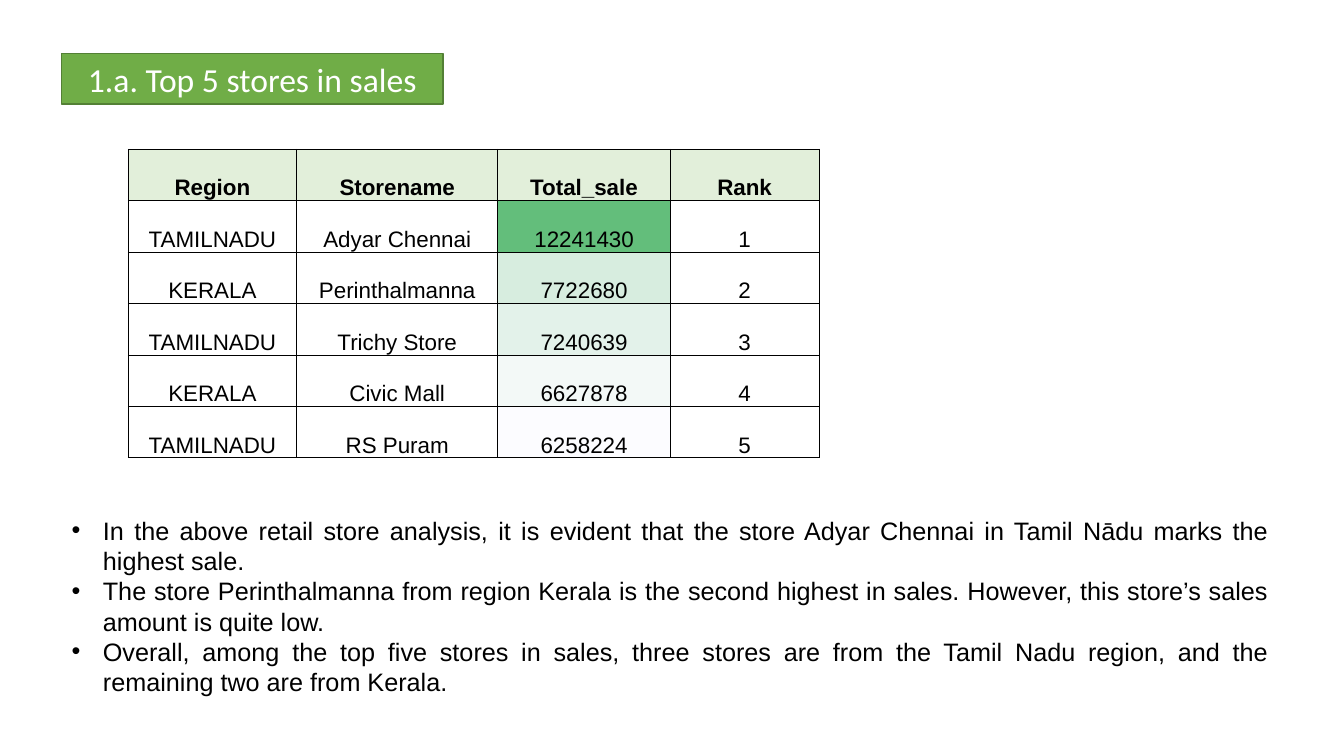
import collections

import lxml.etree
import pptx
import pptx.dml.color
import pptx.enum.text
import pptx.oxml.ns
import pptx.util

COLORS = {
    "black": "000000", "white": "FFFFFF", "badge": "70AD47",
    "badge_edge": "538035", "header": "E2EFDA",
}
SALE_SHADES = ["63BE7B", "D7EDDF", "E3F2EA", "F3F9F7", "FCFCFF"]
HEADERS = ["Region", "Storename", "Total_sale", "Rank"]
STORES = [
    ("TAMILNADU", "Adyar Chennai", 12241430),
    ("KERALA", "Perinthalmanna", 7722680),
    ("TAMILNADU", "Trichy Store", 7240639),
    ("KERALA", "Civic Mall", 6627878),
    ("TAMILNADU", "RS Puram", 6258224),
]
COLUMN_WEIGHTS = [1.67, 1.99, 1.71, 1.47]
FINDINGS = [
    "In the above retail store analysis, it is evident that the store Adyar "
    "Chennai in Tamil Nādu marks the highest sale.",
    "The store Perinthalmanna from region Kerala is the second highest in "
    "sales. However, this store’s sales amount is quite low.",
    "Overall, among the top five stores in sales, three stores are from the "
    "Tamil Nadu region, and the remaining two are from Kerala.",
]
ALIGN = pptx.enum.text.PP_ALIGN
ANCHOR = pptx.enum.text.MSO_ANCHOR
Box = collections.namedtuple("Box", "left top width height")


def rgb(value):
    """Turn a hex string into a colour."""
    return pptx.dml.color.RGBColor.from_string(value)


def apply(target, formats):
    """Set each attribute named in a dict of format values."""
    for name, value in formats.items():
        setattr(target, name, value)


def share_box(deck, left, top, width, height):
    """Make a box from percentages of the slide's size."""
    across, down = deck.slide_width / 100, deck.slide_height / 100
    return Box(int(left * across), int(top * down),
               int(width * across), int(height * down))


def write(para, text, size, font="Arial", color="black", bold=False, **layout):
    """Put one formatted run of text into a paragraph."""
    apply(para, layout)
    span = para.add_run()
    span.text = text
    apply(span.font, {"name": font, "size": pptx.util.Pt(size), "bold": bold})
    span.font.color.rgb = rgb(COLORS[color])


def outline_cell(cell, color, points):
    """Draw a solid border on all four sides of a table cell."""
    properties = cell._tc.get_or_add_tcPr()
    qn = pptx.oxml.ns.qn
    for side in ("a:lnL", "a:lnR", "a:lnT", "a:lnB"):
        line = lxml.etree.SubElement(
            properties, qn(side), w=str(pptx.util.Pt(points)))
        fill = lxml.etree.SubElement(line, qn("a:solidFill"))
        lxml.etree.SubElement(fill, qn("a:srgbClr"), val=color)


def fill_cell(cell, text, shade, bold):
    """Write, align, outline and shade one table cell."""
    inset = pptx.util.Inches(0.01)
    apply(cell, {"vertical_anchor": ANCHOR.BOTTOM, "margin_left": inset,
                 "margin_right": inset, "margin_top": inset,
                 "margin_bottom": 0})
    write(cell.text_frame.paragraphs[0], text, 16, bold=bold,
          alignment=ALIGN.CENTER)
    outline_cell(cell, COLORS["black"], 0.5)
    cell.fill.solid()
    cell.fill.fore_color.rgb = rgb(shade)


def add_badge(title, box):
    """Format the title placeholder as a green badge."""
    apply(title, box._asdict())
    title.fill.solid()
    title.fill.fore_color.rgb = rgb(COLORS["badge"])
    title.line.color.rgb = rgb(COLORS["badge_edge"])
    title.line.width = pptx.util.Pt(1)
    apply(title.text_frame, {"auto_size": pptx.enum.text.MSO_AUTO_SIZE.NONE,
                             "vertical_anchor": ANCHOR.MIDDLE})
    write(title.text_frame.paragraphs[0], "1.a. Top 5 stores in sales", 24,
          font="Calibri", color="white", alignment=ALIGN.CENTER)


def add_sales_table(slide, box):
    """Add the ranked stores, with sales shaded from high to low."""
    rows = [HEADERS] + [(*store, rank) for rank, store in enumerate(STORES, 1)]
    table = slide.shapes.add_table(len(rows), len(HEADERS), *box).table
    apply(table, {"first_row": False, "horz_banding": False})
    for column, weight in zip(table.columns, COLUMN_WEIGHTS):
        column.width = int(box.width * weight / sum(COLUMN_WEIGHTS))
    for r, values in enumerate(rows):
        table.rows[r].height = box.height // len(rows)
        for c, value in enumerate(values):
            shade = COLORS["white"]
            if r == 0:
                shade = COLORS["header"]
            elif HEADERS[c] == "Total_sale":
                shade = SALE_SHADES[r - 1]
            fill_cell(table.cell(r, c), str(value), shade, bold=r == 0)


def add_findings(body, box):
    """Write the findings as justified bullets in the body placeholder."""
    apply(body, box._asdict())
    frame = body.text_frame
    apply(frame, {"auto_size": pptx.enum.text.MSO_AUTO_SIZE.NONE,
                  "vertical_anchor": ANCHOR.TOP, "word_wrap": True})
    indent = pptx.util.Inches(0.31)
    for index, finding in enumerate(FINDINGS):
        para = frame.add_paragraph() if index else frame.paragraphs[0]
        write(para, finding, 18, alignment=ALIGN.JUSTIFY,
              space_before=pptx.util.Pt(0), line_spacing=1.0)
        properties = para._p.get_or_add_pPr()
        properties.set("marL", str(indent))
        properties.set("indent", str(-indent))


def build_sales_slide(deck):
    """Lay out the badge, the sales table and the findings."""
    slide = deck.slides.add_slide(deck.slide_layouts[1])
    add_badge(slide.shapes.title, share_box(deck, 4.58, 7.07, 28.38, 6.67))
    add_sales_table(slide, share_box(deck, 9.53, 19.73, 51.4, 40.84))
    add_findings(slide.placeholders[1],
                 share_box(deck, 4.58, 67.47, 90.55, 25.6))


deck = pptx.Presentation()
apply(deck, {"slide_width": pptx.util.Inches(13.33),
             "slide_height": pptx.util.Inches(7.5)})
build_sales_slide(deck)
deck.save("out.pptx")
